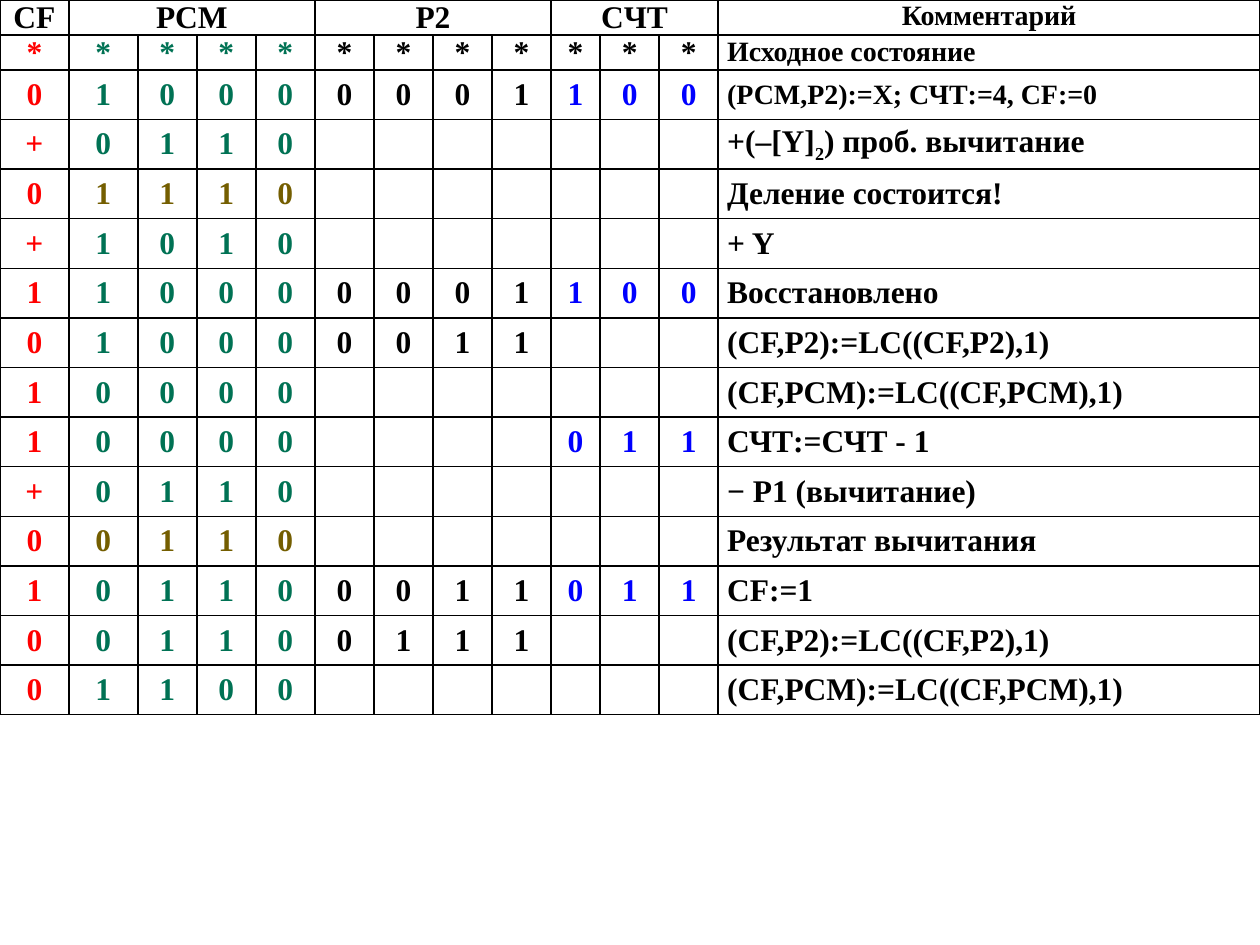
from lxml import etree
from pptx import Presentation
from pptx.dml.color import RGBColor
from pptx.enum.text import MSO_ANCHOR, PP_ALIGN
from pptx.oxml.ns import qn
from pptx.util import Cm, Pt

CENTER, LEFT = PP_ALIGN.CENTER, PP_ALIGN.LEFT
TOP, MIDDLE = MSO_ANCHOR.TOP, MSO_ANCHOR.MIDDLE
BLACK = RGBColor(0x00, 0x00, 0x00)
RED = RGBColor(0xFF, 0x00, 0x00)
GREEN = RGBColor(0x00, 0x72, 0x54)
BROWN = RGBColor(0x74, 0x5E, 0x00)
BLUE = RGBColor(0x00, 0x00, 0xFF)

# First column and width in columns of each register
HEADERS = [("CF", 0, 1), ("PCM", 1, 4), ("P2", 5, 4), ("CЧТ", 9, 3), ("Комментарий", 12, 1)]
COMMENT_COLUMN = 12

# One symbol per bit column (a space leaves the cell empty), then the comment
STEPS = [
    ("************", "Исходное состояние"),
    ("010000001100", "(РСМ,Р2):=Х; СЧТ:=4, CF:=0"),
    ("+0110", "+(–[Y]|2|) проб. вычитание"),
    ("01110", "Деление состоится!"),
    ("+1010", "+ Y"),
    ("110000001100", "Восстановлено"),
    ("010000011", "(CF,P2):=LC((CF,P2),1)"),
    ("10000", "(CF,PСМ):=LC((CF,PСМ),1)"),
    ("10000    011", "СЧТ:=СЧТ - 1"),
    ("+0110", "− Р1 (вычитание)"),
    ("00110", "Результат вычитания"),
    ("101100011011", "CF:=1"),
    ("001100111", "(CF,P2):=LC((CF,P2),1)"),
    ("01100", "(CF,PСМ):=LC((CF,PСМ),1)"),
]
BROWN_ROWS = (4, 11)
SMALL_COMMENT_ROWS = (0, 1, 2)

COLUMN_WIDTHS = [1.39] * 2 + [1.19] * 7 + [0.99] + [1.19] * 2 + [10.92]
ROW_HEIGHTS = [0.7] * 2 + [1.0] * 13


def style_cell(cell):
    """Clear the fill, set the margins and draw black borders."""
    layout = {"margin_left": Cm(0.18), "margin_right": Cm(0.18),
              "margin_top": 0, "margin_bottom": 0}
    for name, value in layout.items():
        setattr(cell, name, value)
    cell.fill.background()
    properties = cell._tc.get_or_add_tcPr()
    for index, side in enumerate(("lnL", "lnR", "lnT", "lnB")):
        line = etree.Element(qn("a:" + side), w=str(Pt(1)))
        fill = etree.SubElement(line, qn("a:solidFill"))
        etree.SubElement(fill, qn("a:srgbClr"), val=str(BLACK))
        properties.insert(index, line)


def write_cell(cell, text, color, size=18, align=CENTER, anchor=MIDDLE):
    """Write one paragraph; the part between bars is a subscript."""
    cell.vertical_anchor = anchor
    para = cell.text_frame.paragraphs[0]
    para.alignment = align
    para.space_after = Pt(1)
    for index, part in enumerate(text.split("|")):
        span = para.add_run()
        span.text = part
        font_format = {"name": "Times New Roman", "size": Pt(size), "bold": True}
        for name, value in font_format.items():
            setattr(span.font, name, value)
        span.font.color.rgb = color
        if index == 1:
            span._r.get_or_add_rPr().set("baseline", "-25000")


deck = Presentation()
deck.slide_width, deck.slide_height = Cm(25.4), Cm(19.05)
page = deck.slides.add_slide(deck.slide_layouts[6])

# Table grid
table = page.shapes.add_table(
    len(ROW_HEIGHTS), len(COLUMN_WIDTHS), 0, 0,
    Cm(sum(COLUMN_WIDTHS)), Cm(sum(ROW_HEIGHTS))).table
table.first_row = table.horz_banding = False
for column, width in zip(table.columns, COLUMN_WIDTHS):
    column.width = Cm(width)
for row, height in zip(table.rows, ROW_HEIGHTS):
    row.height = Cm(height)
for cell in table.iter_cells():
    style_cell(cell)

# Register names
for title, first, count in HEADERS:
    cell = table.cell(0, first)
    if count > 1:
        cell.merge(table.cell(0, first + count - 1))
    size = 16 if first == COMMENT_COLUMN else 18
    write_cell(cell, title, BLACK, size, anchor=TOP)

# Division steps
for row, (bits, comment) in enumerate(STEPS, start=1):
    sum_color = BROWN if row in BROWN_ROWS else GREEN
    counter_color = BLACK if row == 1 else BLUE
    colors = [RED] + [sum_color] * 4 + [BLACK] * 4 + [counter_color] * 3
    for column, (bit, color) in enumerate(zip(bits, colors)):
        if bit != " ":
            write_cell(table.cell(row, column), bit, color)
    size = 16 if row in SMALL_COMMENT_ROWS else 18
    write_cell(table.cell(row, COMMENT_COLUMN), comment, BLACK, size, LEFT)

deck.save("out.pptx")
